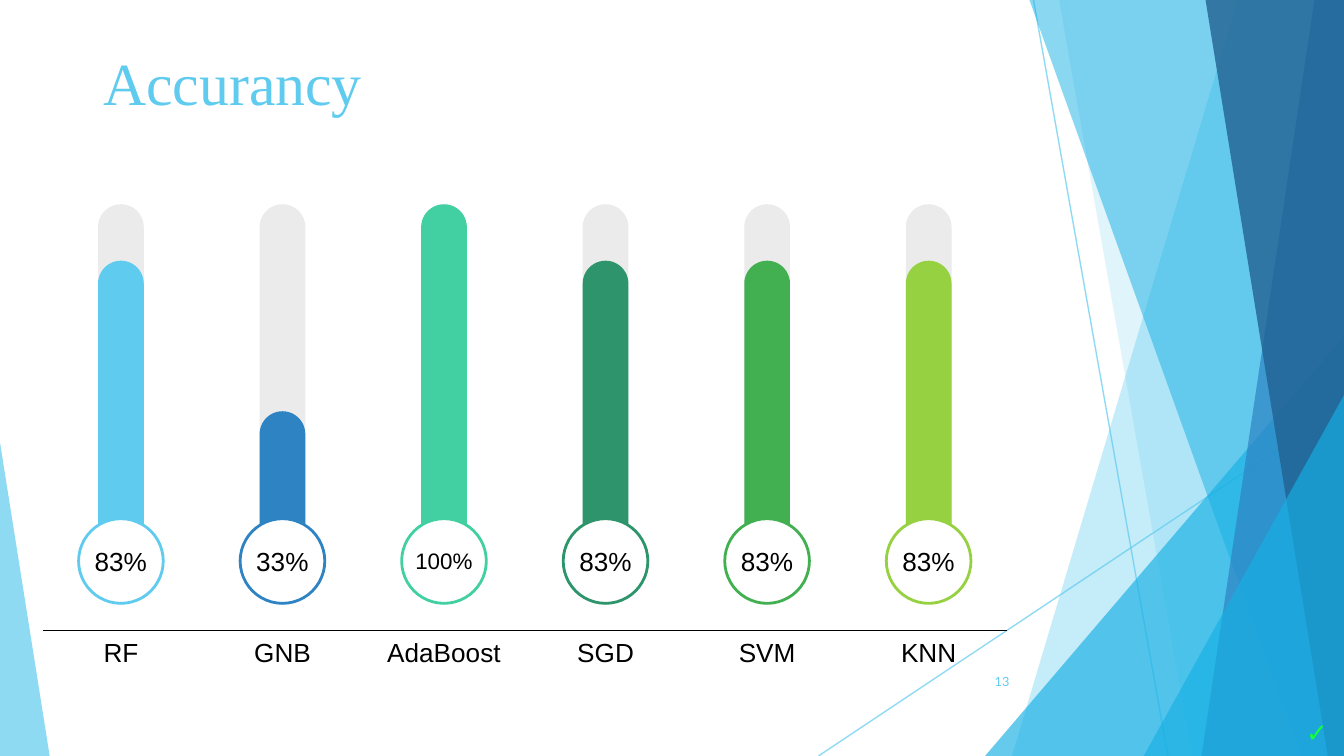
from lxml import etree
from pptx import Presentation
from pptx import util as u
from pptx.dml.color import RGBColor
from pptx.enum import shapes, text
from pptx.oxml.ns import qn

WIDTH, HEIGHT = 10, 10 * 9 / 16
COLORS = {
    "sky": "5FCBEF", "cyan": "17B0E4", "blue": "2E83C3", "navy": "226292",
    "mint": "42D0A2", "pine": "2E946B", "green": "42B051", "lime": "96D141",
    "track": "EBEBEB", "white": "FFFFFF", "black": "000000", "check": "13FF3A",
}
MODELS = [
    ("RF", "83%", 2.34, "sky"),
    ("GNB", "33%", 1.22, "blue"),
    ("AdaBoost", "100%", 2.76, "mint"),
    ("SGD", "83%", 2.34, "pine"),
    ("SVM", "83%", 2.34, "green"),
    ("KNN", "83%", 2.34, "lime"),
]
FIRST_CENTER, LAST_CENTER = 0.9, 6.91
BAR_WIDTH, BAR_HEIGHT, BAR_BOTTOM = 0.34, 2.76, 4.28
RING_SIZE, RING_TOP = 0.63, 3.86
AXIS_Y = 4.69
RIBBONS = [
    ("sky", 36, 9.21, 7.53),
    ("sky", 20, 7.88, 8.87),
    ("cyan", 50, 7.66, 9.68),
    ("blue", 70, 9.78, 8.94),
    ("navy", 80, 8.97, 9.88),
]


def rgb(name):
    return RGBColor.from_string(COLORS[name])


def set_alpha(fill_owner, percent):
    for color in fill_owner.iter(qn("a:srgbClr")):
        etree.SubElement(color, qn("a:alpha")).set("val", str(percent * 1000))


def paint(shape, color, alpha=100):
    shape.shadow.inherit = False
    shape.fill.solid()
    shape.fill.fore_color.rgb = rgb(color)
    shape.line.fill.background()
    if alpha < 100:
        set_alpha(shape._element.spPr, alpha)


def add_preset(parent, preset, box, color, alpha=100, adjust=None):
    shape = parent.add_shape(preset, *map(u.Inches, box))
    if adjust is not None:
        shape.adjustments[0] = adjust
    paint(shape, color, alpha)
    return shape


def add_line(parent, start, end, color, alpha=100):
    line = parent.add_connector(
        shapes.MSO_CONNECTOR.STRAIGHT, *map(u.Inches, (*start, *end)))
    line.line.color.rgb = rgb(color)
    line.line.width = u.Pt(0.75)
    if alpha < 100:
        set_alpha(line._element.spPr, alpha)
    etree.SubElement(line._element.spPr, qn("a:effectLst"))


def add_ribbon(parent, color, alpha, top_x, bottom_x):
    builder = parent.build_freeform(u.Inches(top_x), 0)
    corners = [(WIDTH, 0), (WIDTH, HEIGHT), (bottom_x, HEIGHT)]
    builder.add_line_segments([(u.Inches(x), u.Inches(y)) for x, y in corners])
    paint(builder.convert_to_shape(), color, alpha)


def add_wedge(parent, left, top, width, apex, color, alpha):
    add_preset(parent, shapes.MSO_SHAPE.ISOSCELES_TRIANGLE,
               (left, top, width, HEIGHT - top), color, alpha, apex)


def write(shape, words, size, color="black", font="Arial", side=0.1, margin=0.1,
          align=text.PP_ALIGN.CENTER, anchor=text.MSO_ANCHOR.MIDDLE, bold=False):
    frame = shape.text_frame
    frame.word_wrap = True
    frame.vertical_anchor = anchor
    frame.margin_left = frame.margin_right = u.Inches(side)
    frame.margin_top = frame.margin_bottom = u.Inches(margin)
    paragraph = frame.paragraphs[0]
    paragraph.text = words
    paragraph.alignment = align
    paragraph.font.name = font
    paragraph.font.size = u.Pt(size)
    paragraph.font.bold = bold
    paragraph.font.color.rgb = rgb(color)


def add_text(parent, box, words, size, **style):
    write(parent.add_textbox(*map(u.Inches, box)), words, size, **style)


def add_bar(parent, center, height, color):
    add_preset(parent, shapes.MSO_SHAPE.ROUNDED_RECTANGLE,
               (center - BAR_WIDTH / 2, BAR_BOTTOM - height, BAR_WIDTH, height),
               color, adjust=0.5)


def add_gauge(slide, center, model, score, height, color):
    gauge = slide.shapes.add_group_shape().shapes
    if height < BAR_HEIGHT:
        add_bar(gauge, center, BAR_HEIGHT, "track")
    add_bar(gauge, center, height, color)
    ring = add_preset(gauge, shapes.MSO_SHAPE.OVAL,
                      (center - RING_SIZE / 2, RING_TOP, RING_SIZE, RING_SIZE), "white")
    ring.line.color.rgb = rgb(color)
    ring.line.width = u.Pt(1.5)
    write(ring, score, 12 if len(score) > 3 else 14, side=0)
    label_width = 1.07 if len(model) > 3 else 0.69
    add_text(gauge, (center - label_width / 2, AXIS_Y, label_width, 0.33), model, 14)


def add_backdrop(slide):
    backdrop = slide.shapes.add_group_shape().shapes
    add_line(backdrop, (7.69, 0), (8.69, HEIGHT), "sky", 70)
    add_line(backdrop, (WIDTH, 3.02), (6.09, HEIGHT), "sky", 70)
    for ribbon in RIBBONS[:2]:
        add_ribbon(backdrop, *ribbon)
    add_wedge(backdrop, 7.33, 2.5, 2.67, 1, "cyan", 66)
    for ribbon in RIBBONS[2:]:
        add_ribbon(backdrop, *ribbon)
    add_wedge(backdrop, 8.51, 2.94, 1.49, 1, "cyan", 66)
    add_wedge(backdrop, 0, 3.29, 0.37, 0, "sky", 70)


def main():
    deck = Presentation()
    deck.slide_width, deck.slide_height = u.Inches(WIDTH), u.Inches(HEIGHT)
    slide = deck.slides.add_slide(deck.slide_layouts[6])
    add_backdrop(slide)
    add_text(slide.shapes, (0.67, 0.19, 6.33, 0.84), "Accurancy", 32, color="sky",
             font="Times New Roman", align=text.PP_ALIGN.LEFT)
    add_text(slide.shapes, (7.05, 4.96, 0.56, 0.3), "13", 6.8, color="sky",
             font="Lato", align=text.PP_ALIGN.RIGHT, anchor=text.MSO_ANCHOR.TOP)
    pitch = (LAST_CENTER - FIRST_CENTER) / (len(MODELS) - 1)
    for index, model in enumerate(MODELS):
        add_gauge(slide, FIRST_CENTER + index * pitch, *model)
    add_line(slide.shapes, (0.32, AXIS_Y), (7.49, AXIS_Y), "black")
    add_text(slide.shapes, (9.62, 5.28, 0.38, 0.34), "✓", 14, color="check",
             font="Lato", margin=0.05, align=text.PP_ALIGN.LEFT,
             anchor=text.MSO_ANCHOR.TOP, bold=True)
    deck.save("out.pptx")


if __name__ == "__main__":
    main()
